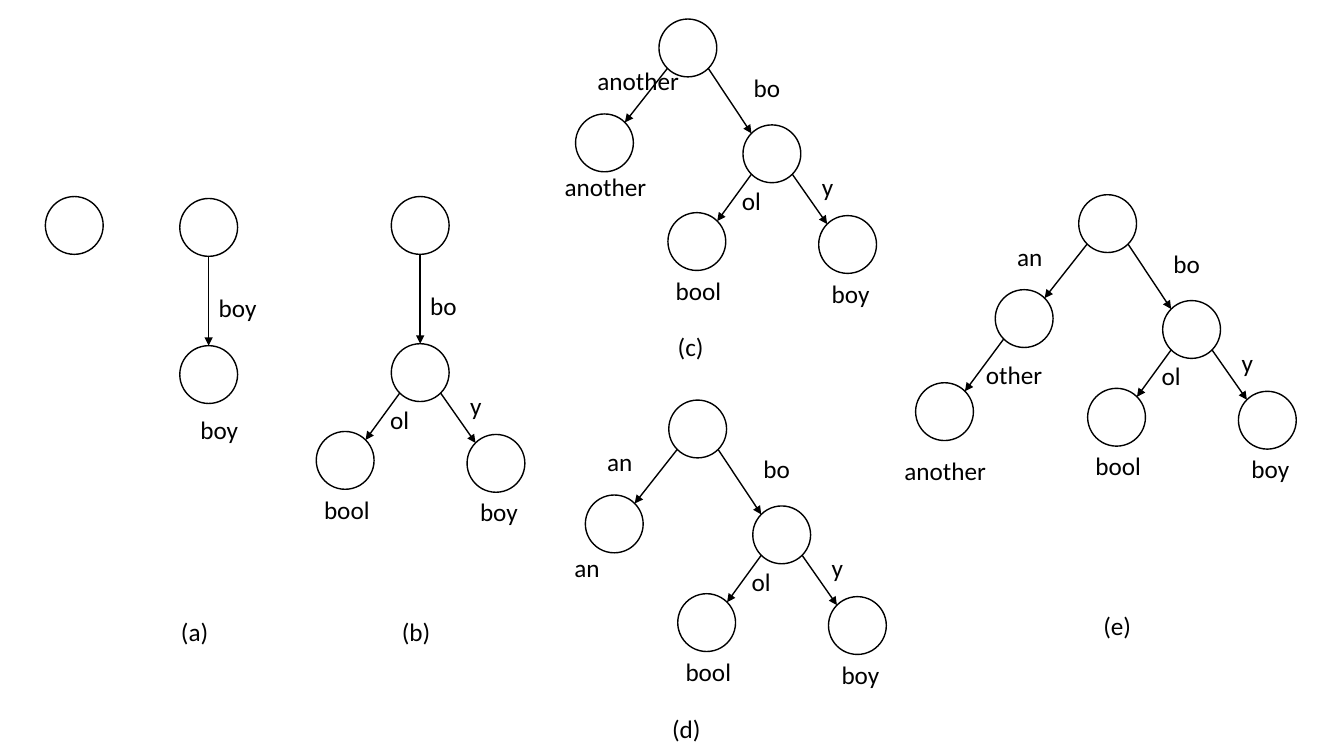
"""Slide showing a radix tree growing in steps (a) to (e) as words are inserted."""
import math
import lxml.etree
import pptx
import pptx.dml.color
import pptx.enum.shapes
import pptx.enum.text
import pptx.oxml.ns
import pptx.util

Pt = pptx.util.Pt
qn = pptx.oxml.ns.qn
COLORS = {name: pptx.dml.color.RGBColor.from_string(value)
          for name, value in {"ink": "000000", "node": "FFFFFF"}.items()}
DIAMETER = 41.3
RADIUS = DIAMETER / 2
DIAGONAL = RADIUS * math.sqrt(0.5)
WORD_WIDTHS = {"boy": 41.8, "bo": 33.8, "ol": 28.1, "y": 23, "bool": 47.5,
               "another": 73.4, "an": 33.1, "other": 55.4}
CAPTION_WIDTH = 34.8
WORD_HEIGHT = 29

deck = pptx.Presentation()
deck.slide_width, deck.slide_height = Pt(960), Pt(540)
slide = deck.slides.add_slide(deck.slide_layouts[6])

nodes, edges, words = [], [], []


def branch(parent, shift, edge_word, edge_shift, leaf_word=None, leaf_shift=(0, 0)):
    child = (parent[0] + shift[0], parent[1] + shift[1])
    side = (shift[0] > 0) - (shift[0] < 0)
    across = side * DIAGONAL
    down = DIAGONAL if side else RADIUS
    nodes.append(child)
    edges.append((parent[0] + RADIUS + across, parent[1] + RADIUS + down,
                  child[0] + RADIUS - across, child[1] + RADIUS - down))
    words.append((edge_word, parent[0] + edge_shift[0], parent[1] + edge_shift[1]))
    if leaf_word:
        words.append((leaf_word, parent[0] + leaf_shift[0], parent[1] + leaf_shift[1]))
    return child


empty_root, boy_root, bo_root = (32.4, 140.4), (128.4, 141.8), (279.5, 140.4)
nodes += [empty_root, boy_root, bo_root]
branch(boy_root, (0, 105.1), "boy", (20.7, 63.4), "boy", (7.6, 150.5))
forks = [branch(bo_root, (0, 105.1), "bo", (20.7, 63.4))]

for root, edge_word, leaf_word in [((470.7, 13.6), "another", "another"),
                                   ((477.7, 285.8), "an", "an"),
                                   ((770.5, 139.1), "an", None)]:
    nodes.append(root)
    forks.append(branch(root, (60, 75.6), "bo", (60.6, 34.6)))
    left_child = branch(root, (-59.6, 67.8), edge_word, (-51.1, 29.5),
                        leaf_word, (-74.5, 105.2))
    if not leaf_word:
        branch(left_child, (-56.9, 66.5), "other", (-13.7, 46),
               "another", (-72, 114.9))

for fork in forks:
    branch(fork, (-53.6, 62.7), "ol", (-7.9, 39.4), "bool", (-55.1, 103.7))
    branch(fork, (54.1, 64.8), "y", (49.3, 29.7), "boy", (56.3, 105.8))

words += [("(a)", 122.2, 436.5), ("(b)", 280, 436.5), ("(c)", 477, 233.3),
          ("(d)", 473, 506.2), ("(e)", 781, 432.3)]

for left, top in nodes:
    node = slide.shapes.add_shape(pptx.enum.shapes.MSO_SHAPE.OVAL, Pt(left), Pt(top),
                                  Pt(DIAMETER), Pt(DIAMETER))
    node.shadow.inherit = False
    node.fill.solid()
    node.fill.fore_color.rgb = COLORS["node"]
    node.line.color.rgb = COLORS["ink"]
    node.line.width = Pt(1)

for ends in edges:
    edge = slide.shapes.add_connector(pptx.enum.shapes.MSO_CONNECTOR.STRAIGHT,
                                      *[Pt(end) for end in ends])
    edge.line.color.rgb = COLORS["ink"]
    edge.line.width = Pt(1)
    properties = edge.element.spPr
    lxml.etree.SubElement(properties.find(qn("a:ln")), qn("a:tailEnd"), type="triangle")
    lxml.etree.SubElement(properties, qn("a:effectLst"))

for word, left, top in words:
    label = slide.shapes.add_textbox(Pt(left), Pt(top),
                                     Pt(WORD_WIDTHS.get(word, CAPTION_WIDTH)),
                                     Pt(WORD_HEIGHT)).text_frame
    label.word_wrap = False
    label.auto_size = pptx.enum.text.MSO_AUTO_SIZE.SHAPE_TO_FIT_TEXT
    label.text = word
    font = label.paragraphs[0].font
    font.name, font.size = "Calibri", Pt(18)
    font.color.rgb = COLORS["ink"]

deck.save("out.pptx")
